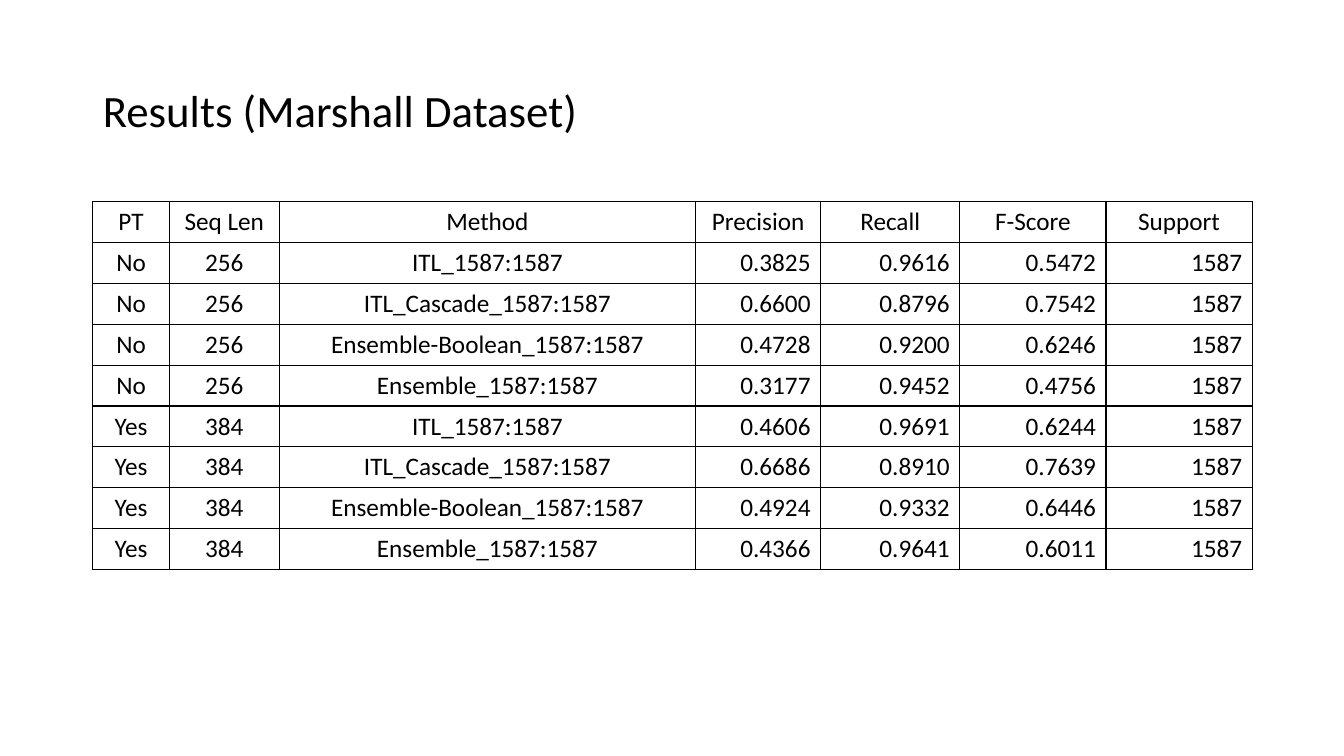
from lxml.etree import SubElement
from pptx import Presentation
from pptx.dml.color import RGBColor
from pptx.enum.text import MSO_ANCHOR, PP_ALIGN
from pptx.oxml.ns import qn
from pptx.util import Inches, Pt

BLACK = RGBColor(0, 0, 0)
FONT = "Calibri"
WIDTHS = [0.76, 1.09, 4.13, 1.24, 1.38, 1.45, 1.45]
HEADS = ["PT", "Seq Len", "Method", "Precision", "Recall", "F-Score", "Support"]
METHODS = ["ITL", "ITL_Cascade", "Ensemble-Boolean", "Ensemble"]
SUPPORT = "1587"
# Each group: PT, sequence length, then precision, recall and F-score by method
GROUPS = [
    ("No", "256", [
        ("0.3825", "0.9616", "0.5472"),
        ("0.6600", "0.8796", "0.7542"),
        ("0.4728", "0.9200", "0.6246"),
        ("0.3177", "0.9452", "0.4756"),
    ]),
    ("Yes", "384", [
        ("0.4606", "0.9691", "0.6244"),
        ("0.6686", "0.8910", "0.7639"),
        ("0.4924", "0.9332", "0.6446"),
        ("0.4366", "0.9641", "0.6011"),
    ]),
]


def style(para, size, align):
    para.alignment = align
    for run in para.runs:
        run.font.name = FONT
        run.font.size = Pt(size)
        run.font.bold = False
        run.font.color.rgb = BLACK


def add_border(cell):
    props = cell._tc.get_or_add_tcPr()
    for side in ("lnL", "lnR", "lnT", "lnB"):
        line = SubElement(props, qn(f"a:{side}"), w=str(Pt(1)))
        fill = SubElement(line, qn("a:solidFill"))
        SubElement(fill, qn("a:srgbClr"), val=str(BLACK))


def add_title(slide, left, top, width, height):
    title = slide.shapes.title
    title.left, title.top = Inches(left), Inches(top)
    title.width, title.height = Inches(width), Inches(height)
    frame = title.text_frame
    frame.text = "Results (Marshall Dataset)"
    frame.word_wrap = True
    frame.vertical_anchor = MSO_ANCHOR.MIDDLE
    para = frame.paragraphs[0]
    para.line_spacing = 0.9
    style(para, 32, PP_ALIGN.LEFT)


def add_results(slide, left, top, width, height):
    rows = [HEADS]
    for tuned, length, scores in GROUPS:
        for method, score in zip(METHODS, scores):
            name = f"{method}_{SUPPORT}:{SUPPORT}"
            rows.append([tuned, length, name, *score, SUPPORT])

    frame = slide.shapes.add_table(
        len(rows), len(HEADS),
        Inches(left), Inches(top), Inches(width), Inches(height))
    table = frame.table
    table.first_row = table.horz_banding = False
    for column, share in zip(table.columns, WIDTHS):
        column.width = Inches(width * share / sum(WIDTHS))

    # Scores are right-aligned, headings and labels centred
    for i, row in enumerate(rows):
        for j, text in enumerate(row):
            cell = table.cell(i, j)
            cell.text_frame.text = text
            align = PP_ALIGN.RIGHT if i > 0 and j > 2 else PP_ALIGN.CENTER
            style(cell.text_frame.paragraphs[0], 18, align)
            add_border(cell)
            cell.fill.background()


def main():
    deck = Presentation()
    deck.slide_width, deck.slide_height = Inches(13.33), Inches(7.5)
    slide = deck.slides.add_slide(deck.slide_layouts[5])
    add_title(slide, 0.92, 0.4, 11.5, 1.45)
    add_results(slide, 0.92, 2, 11.5, 3.65)
    deck.save("out.pptx")


if __name__ == "__main__":
    main()
